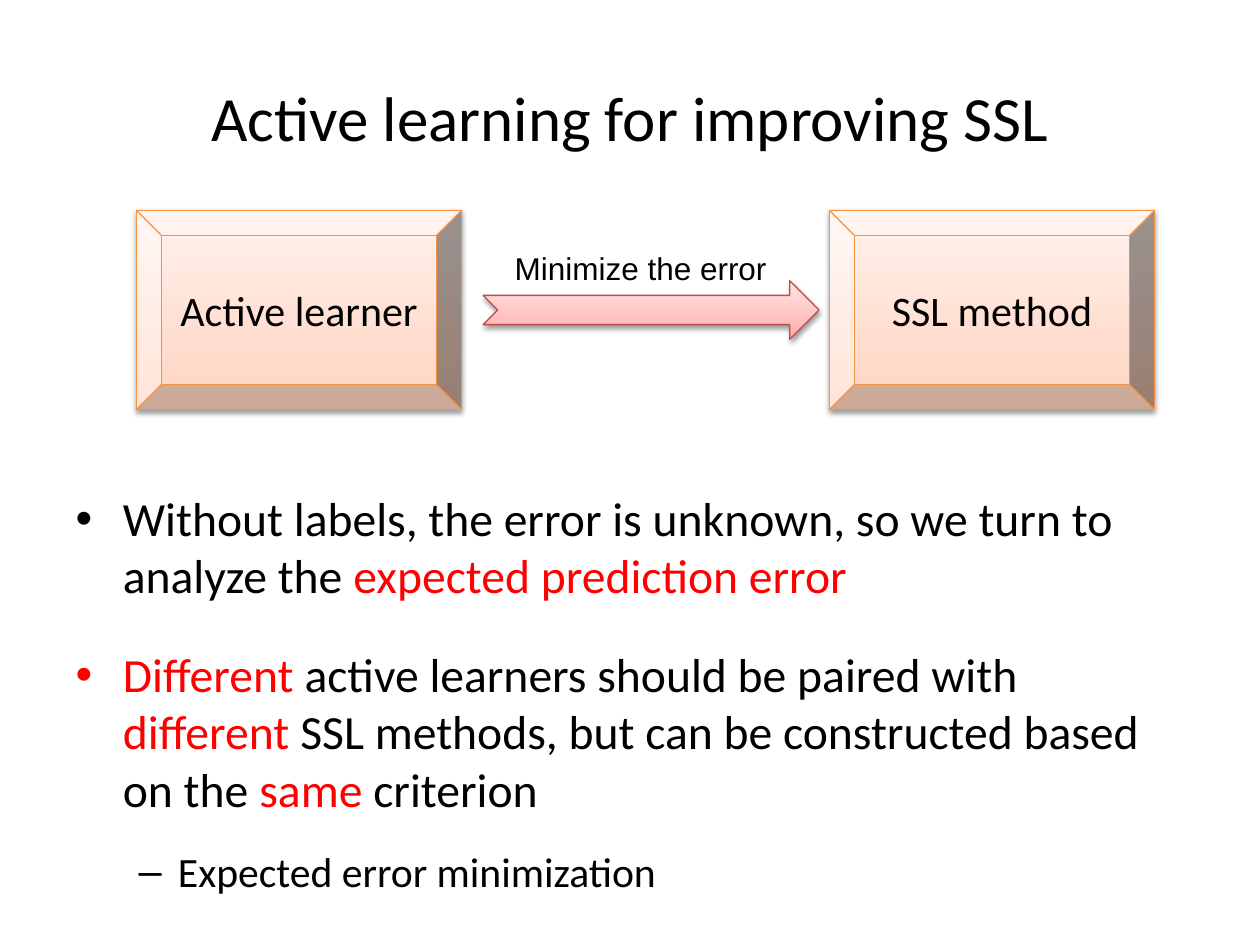
"""Build the slide on active learning for improving SSL."""
from lxml.etree import SubElement
from pptx import Presentation
from pptx.dml.color import RGBColor as Rgb
from pptx.enum.shapes import MSO_SHAPE as Shape
from pptx.enum.text import MSO_ANCHOR as Anchor, MSO_AUTO_SIZE as AutoSize, PP_ALIGN as Align
from pptx.oxml.ns import qn
from pptx.util import Cm, Pt

THEME = {
    "sizes": {"title": 36, "bullet": 27.2, "sub": 23.8, "box": 24, "label": 18},
    "fonts": {"main": "Calibri", "label": "Arial"},
    "text": "000000",
    "accent": "FF0000",
    "box": {"line": "F69240", "stops": [(0, "FFD2BD"), (35, "FFDED0"), (100, "FFF2ED")]},
    "arrow": {"line": "BF4C48", "stops": [(0, "FFA6A5"), (35, "FFC0BF"), (100, "FFE7E7")]},
}

TITLE = "Active learning for improving SSL"
LEARNER, METHOD = "Active learner", "SSL method"
ARROW_LABEL = "Minimize the error"
BULLETS = [
    {"level": 0, "size": "bullet", "before": 0, "after": 12,
     "runs": [("Without labels, the error is unknown, so we turn to analyze the ", "text"),
              ("expected prediction error", "accent")]},
    {"level": 0, "size": "bullet", "before": 12, "after": 12,
     "runs": [("Different", "accent"),
              (" active learners should be paired with ", "text"),
              ("different ", "accent"),
              ("SSL methods, but can be constructed based on the ", "text"),
              ("same", "accent"),
              (" criterion", "text")]},
    {"level": 1, "size": "sub", "before": 4.8, "after": 0,
     "runs": [("Expected error minimization", "text")]},
]

SLIDE_W, SLIDE_H = 25.4, 19.05
MARGIN = 1.27
CONTENT_W = SLIDE_W - 2 * MARGIN
BOX_W, BOX_H, BOX_TOP = 6.56, 4.02, 4.24
BOX_LEFTS = {LEARNER: 2.75, METHOD: 16.72}
ARROW_W, ARROW_H, ARROW_LEFT = 6.77, 1.18, 9.74
ARROW_TOP = BOX_TOP + (BOX_H - ARROW_H) / 2
LABEL_AREA = (9.53, 4.9, ARROW_W, 1.02)


def set_all(target, values):
    for name, value in values.items():
        setattr(target, name, value)


def place(part, left, top, width, height):
    set_all(part, {"left": Cm(left), "top": Cm(top), "width": Cm(width), "height": Cm(height)})


def add_run(paragraph, words, size, color="text", font="main"):
    run = paragraph.add_run()
    run.text = words
    set_all(run.font, {"size": Pt(THEME["sizes"][size]), "name": THEME["fonts"][font]})
    run.font.color.rgb = Rgb.from_string(THEME[color])


def write_centred(frame, words, size, anchor=Anchor.MIDDLE, font="main"):
    set_all(frame, {"word_wrap": True, "vertical_anchor": anchor, "auto_size": AutoSize.NONE})
    frame.paragraphs[0].alignment = Align.CENTER
    add_run(frame.paragraphs[0], words, size, font=font)


def add_color(parent, color):
    return SubElement(parent, qn("a:srgbClr"), val=color)


def add_glossy(slide, preset, area, look):
    glossy = slide.shapes.add_shape(preset, *map(Cm, area))
    glossy.fill.gradient()
    glossy.fill.gradient_angle = 90
    properties = glossy._element.spPr
    stops = properties.find(".//" + qn("a:gsLst"))
    for stop in list(stops):
        stops.remove(stop)
    for percent, color in look["stops"]:
        add_color(SubElement(stops, qn("a:gs"), pos=str(percent * 1000)), color)
    glossy.line.color.rgb = Rgb.from_string(look["line"])
    glossy.line.width = Pt(0.75)
    glossy.shadow.inherit = False
    shadow = SubElement(properties.find(qn("a:effectLst")), qn("a:outerShdw"),
                        blurRad=str(Pt(3.1)), dist=str(Pt(1.6)), dir="5400000", rotWithShape="0")
    SubElement(add_color(shadow, THEME["text"]), qn("a:alpha"), val="38000")
    return glossy


def fill_body(body):
    place(body, MARGIN, 9.73, CONTENT_W, 7.42)
    frame = body.text_frame
    set_all(frame, {"auto_size": AutoSize.NONE, "word_wrap": True})
    for index, bullet in enumerate(BULLETS):
        paragraph = frame.add_paragraph() if index else frame.paragraphs[0]
        set_all(paragraph, {"level": bullet["level"], "space_before": Pt(bullet["before"]),
                            "space_after": Pt(bullet["after"])})
        for words, color in bullet["runs"]:
            add_run(paragraph, words, bullet["size"], color)


def main():
    deck = Presentation()
    set_all(deck, {"slide_width": Cm(SLIDE_W), "slide_height": Cm(SLIDE_H)})
    slide = deck.slides.add_slide(deck.slide_layouts[1])
    title, body = slide.placeholders
    place(title, MARGIN, 0.76, CONTENT_W, 3.18)
    write_centred(title.text_frame, TITLE, "title")
    fill_body(body)

    for name in (METHOD, LEARNER):
        box = add_glossy(slide, Shape.BEVEL, (BOX_LEFTS[name], BOX_TOP, BOX_W, BOX_H), THEME["box"])
        write_centred(box.text_frame, name, "box")

    label = slide.shapes.add_textbox(*map(Cm, LABEL_AREA))
    write_centred(label.text_frame, ARROW_LABEL, "label", Anchor.TOP, "label")
    add_glossy(slide, Shape.NOTCHED_RIGHT_ARROW,
               (ARROW_LEFT, ARROW_TOP, ARROW_W, ARROW_H), THEME["arrow"])
    deck.save("out.pptx")


if __name__ == "__main__":
    main()
